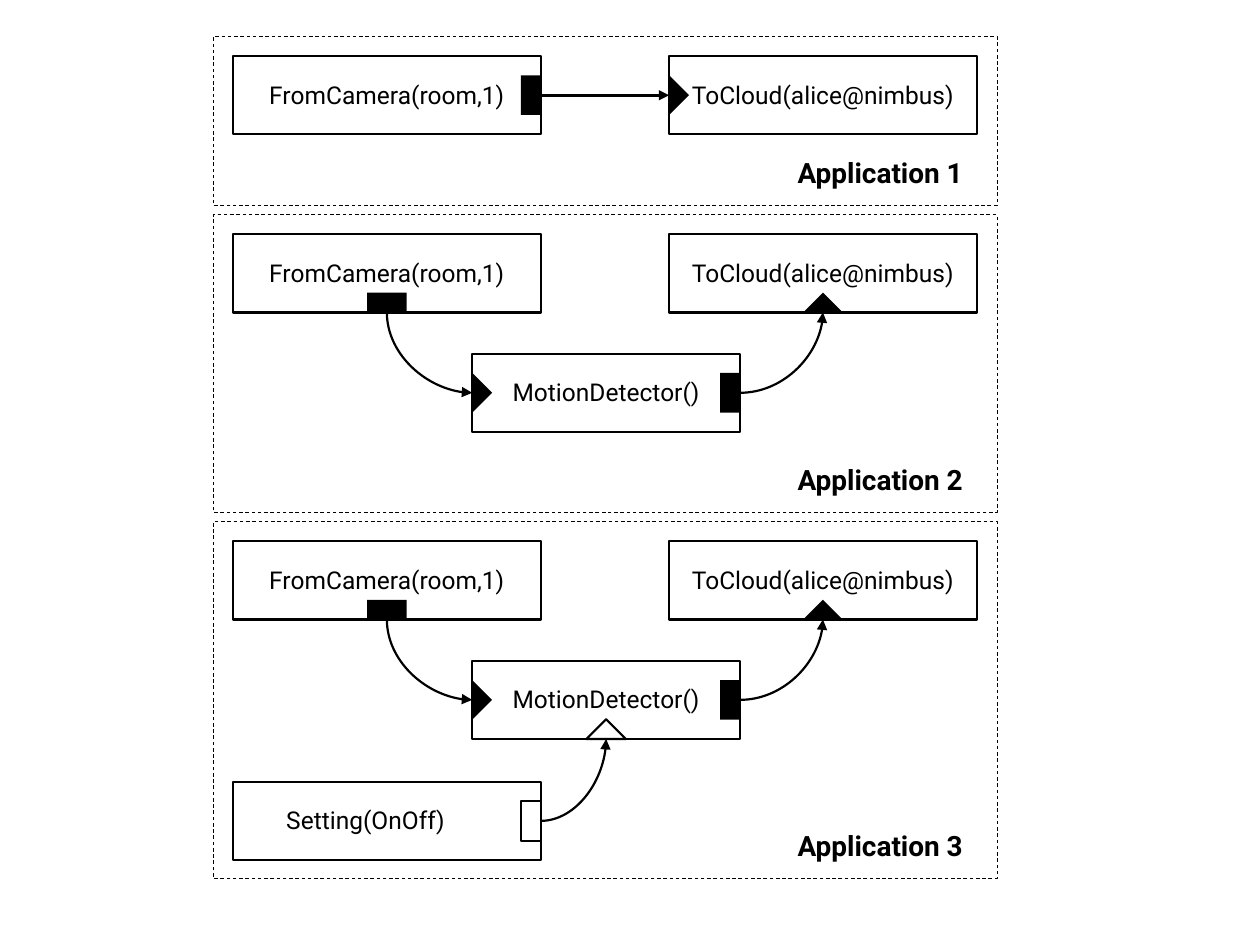
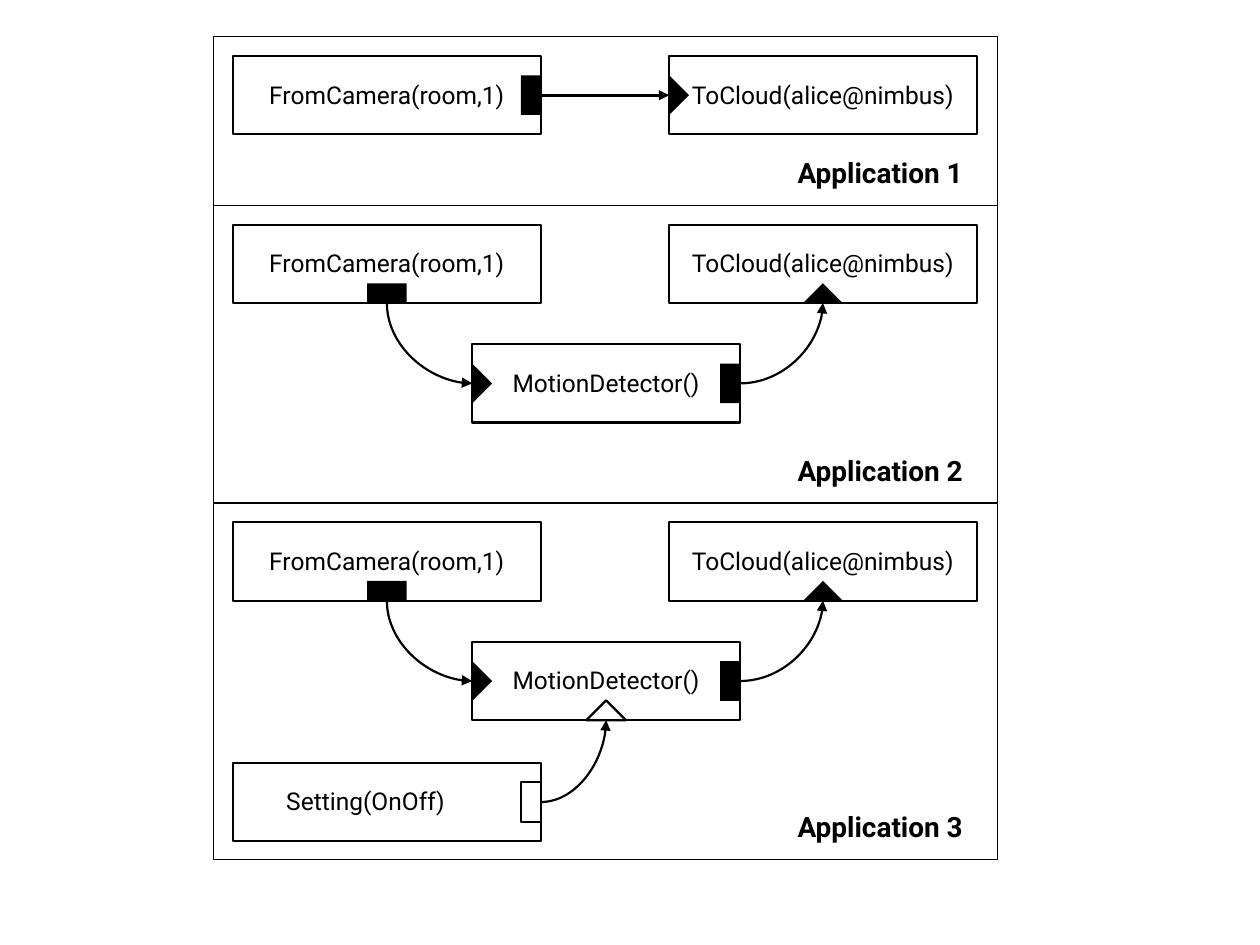
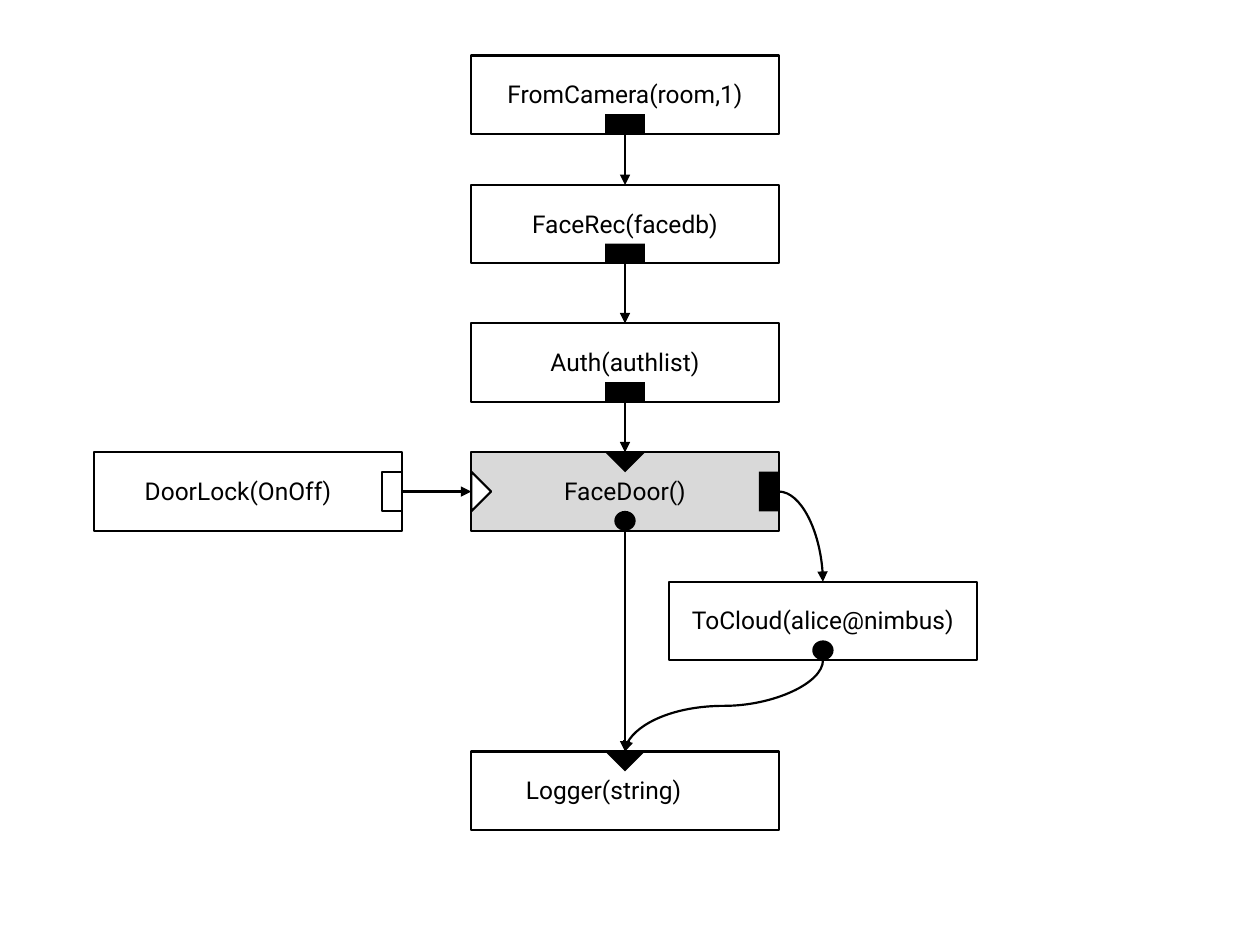
from collections import namedtuple

from lxml import etree
from pptx import Presentation
from pptx import util as u
from pptx.dml.color import RGBColor
from pptx.enum import dml, shapes, text
from pptx.oxml.ns import qn

# Shared style
FONT = "Roboto"
BLACK, WHITE, GREY = "000000", "FFFFFF", "D9D9D9"
NODE_W, NODE_H = 6.2, 1.58
DETECTOR_W = 5.4
LABEL_H = 0.86
THIN, NORMAL, THICK = 0.5, 1.25, 1.5

# Port kinds: preset, width, height, rotation for each side of a node
OUTPUT = (shapes.MSO_SHAPE.RECTANGLE, 0.4, 0.8, {"right": 0, "bottom": 270})
INPUT = (shapes.MSO_SHAPE.ISOSCELES_TRIANGLE, 0.8, 0.4,
         {"left": 90, "bottom": 0, "top": 180})
EVENT = (shapes.MSO_SHAPE.OVAL, 0.43, 0.4, {"bottom": 0})
PORT_DEPTH = 0.4

# Columns of the application diagrams
CAMERA_X, DETECTOR_X, CLOUD_X = 4.7, 9.52, 13.49
CAMERA = "FromCamera(room,1)"
CLOUD = "ToCloud(alice@nimbus)"


def rgb(value):
    return RGBColor.from_string(value)


def write(frame, content, size=14, bold=False, color=BLACK, wrap=True):
    frame.word_wrap = wrap
    frame.auto_size = text.MSO_AUTO_SIZE.SHAPE_TO_FIT_TEXT
    paragraph = frame.paragraphs[0]
    paragraph.alignment = text.PP_ALIGN.CENTER
    run = paragraph.add_run()
    run.text = content
    run.font.name = FONT
    run.font.size = u.Pt(size)
    run.font.bold = bold
    run.font.color.rgb = rgb(color)


class Node(namedtuple("Node", "left top width")):
    def edge(self, side, inset=0):
        """Middle of one side, moved inwards by inset."""
        middle_x = self.left + self.width / 2
        middle_y = self.top + NODE_H / 2
        return {
            "left": (self.left + inset, middle_y),
            "right": (self.left + self.width - inset, middle_y),
            "top": (middle_x, self.top + inset),
            "bottom": (middle_x, self.top + NODE_H - inset),
        }[side]


class Diagram:
    def __init__(self):
        self.prs = Presentation()
        self.prs.slide_width = u.Cm(25.4)
        self.prs.slide_height = u.Cm(19.05)
        self.canvas = None

    def new_slide(self, grouped=False):
        slide = self.prs.slides.add_slide(self.prs.slide_layouts[6])
        self.canvas = slide.shapes
        if grouped:
            self.canvas = slide.shapes.add_group_shape().shapes

    def shape(self, preset, left, top, width, height,
              fill=None, line=None, dashed=False):
        shape = self.canvas.add_shape(preset, *map(u.Cm, (left, top, width, height)))
        shape.shadow.inherit = False
        if fill:
            shape.fill.solid()
            shape.fill.fore_color.rgb = rgb(fill)
        else:
            shape.fill.background()
        if line:
            shape.line.color.rgb = rgb(BLACK)
            shape.line.width = u.Pt(line)
            if dashed:
                shape.line.dash_style = dml.MSO_LINE.DASH
        else:
            shape.line.fill.background()
        return shape

    def label(self, content, left, top, width, height, **style):
        box = self.canvas.add_textbox(*map(u.Cm, (left, top, width, height)))
        write(box.text_frame, content, **style)

    def frame(self, title, top, height, dashed):
        self.shape(shapes.MSO_SHAPE.RECTANGLE, 4.3, top, 15.8, height,
                   line=THIN, dashed=dashed)
        self.label(title, 15.7, top + height - 1.13, 4.09, 0.94,
                   size=16, bold=True, wrap=False)

    def node(self, content, left, top, width=NODE_W, fill=None, text_shift=0):
        self.shape(shapes.MSO_SHAPE.RECTANGLE, left, top, width, NODE_H,
                   fill=fill, line=NORMAL)
        self.label(content, left + text_shift, top + 0.35, width, LABEL_H)
        return Node(left, top, width)

    def port(self, node, side, kind, hollow=False):
        preset, width, height, rotations = kind
        x, y = node.edge(side, PORT_DEPTH / 2)
        port = self.shape(preset, x - width / 2, y - height / 2, width, height,
                          fill=WHITE if hollow else BLACK,
                          line=NORMAL if hollow else None)
        port.rotation = rotations[side]

    def connector(self, kind, start, end, width):
        line = self.canvas.add_connector(kind, *map(u.Cm, (*start, *end)))
        line.line.color.rgb = rgb(BLACK)
        line.line.width = u.Pt(width)
        properties = line.element.spPr
        etree.SubElement(properties.find(qn("a:ln")), qn("a:tailEnd"), type="triangle")
        etree.SubElement(properties, qn("a:effectLst"))
        return properties

    def arrow(self, start, end):
        self.connector(shapes.MSO_CONNECTOR.STRAIGHT, start, end, THICK)

    def curve(self, start, end, bends=2, down=False):
        """Curve that leaves its start sideways, or downwards if down."""
        if down:
            # A quarter turn about the centre makes a sideways curve run down
            (x1, y1), (x2, y2) = start, end
            x, y = (x1 + x2) / 2, (y1 + y2) / 2
            across, along = (x2 - x1) / 2, (y2 - y1) / 2
            start, end = (x - along, y + across), (x + along, y - across)
        properties = self.connector(shapes.MSO_CONNECTOR.CURVE, start, end, NORMAL)
        properties.find(qn("a:prstGeom")).set("prst", f"curvedConnector{bends}")
        if down:
            properties.xfrm.rot = 90


# Application diagrams
def direct_flow(d, top):
    camera = d.node(CAMERA, CAMERA_X, top)
    cloud = d.node(CLOUD, CLOUD_X, top)
    d.port(camera, "right", OUTPUT)
    d.port(cloud, "left", INPUT)
    d.arrow(camera.edge("right"), cloud.edge("left"))


def motion_flow(d, top):
    camera = d.node(CAMERA, CAMERA_X, top)
    cloud = d.node(CLOUD, CLOUD_X, top)
    detector = d.node("MotionDetector()", DETECTOR_X, top + 2.41, DETECTOR_W)
    d.port(camera, "bottom", OUTPUT)
    d.port(cloud, "bottom", INPUT)
    d.port(detector, "left", INPUT)
    d.port(detector, "right", OUTPUT)
    d.curve(camera.edge("bottom"), detector.edge("left"), down=True)
    d.curve(detector.edge("right"), cloud.edge("bottom"))
    return detector


def switched_flow(d, top):
    detector = motion_flow(d, top)
    setting = d.node("Setting(OnOff)", CAMERA_X, top + 4.85, text_shift=-0.43)
    d.port(detector, "bottom", INPUT, hollow=True)
    d.port(setting, "right", OUTPUT, hollow=True)
    d.curve(setting.edge("right"), detector.edge("bottom"))


def applications(d, gap, dashed):
    top = 0.74
    flows = [(direct_flow, 3.4), (motion_flow, 6), (switched_flow, 7.19)]
    for number, (draw_flow, height) in enumerate(flows, 1):
        draw_flow(d, top + 0.39)
        d.frame(f"Application {number}", top, height, dashed)
        top += height + gap


# Face recognition door
def face_door(d):
    column_x = 9.5
    camera = d.node(CAMERA, column_x, 1.12)
    recognition = d.node("FaceRec(facedb)", column_x, 3.73)
    auth = d.node("Auth(authlist)", column_x, 6.52)
    door = d.node("FaceDoor()", column_x, 9.12, fill=GREY)
    logger = d.node("Logger(string)", column_x, 15.15, text_shift=-0.43)
    lock = d.node("DoorLock(OnOff)", 1.9, 9.12, text_shift=-0.2)
    cloud = d.node(CLOUD, CLOUD_X, 11.73)

    for source in (camera, recognition, auth):
        d.port(source, "bottom", OUTPUT)
    for target in (door, logger):
        d.port(target, "top", INPUT)
    for reporter in (door, cloud):
        d.port(reporter, "bottom", EVENT)
    d.port(door, "right", OUTPUT)
    d.port(door, "left", INPUT, hollow=True)
    d.port(lock, "right", OUTPUT, hollow=True)

    downward = [(camera, recognition), (recognition, auth), (auth, door),
                (door, logger), (cloud, logger)]
    for source, target in downward:
        d.curve(source.edge("bottom"), target.edge("top"), bends=3, down=True)
    d.curve(lock.edge("right"), door.edge("left"), bends=3)
    d.curve(door.edge("right"), cloud.edge("top"))


def main():
    d = Diagram()
    d.new_slide(grouped=True)
    applications(d, gap=0.19, dashed=True)
    d.new_slide()
    applications(d, gap=0, dashed=False)
    d.new_slide()
    face_door(d)
    d.prs.save("out.pptx")


if __name__ == "__main__":
    main()
